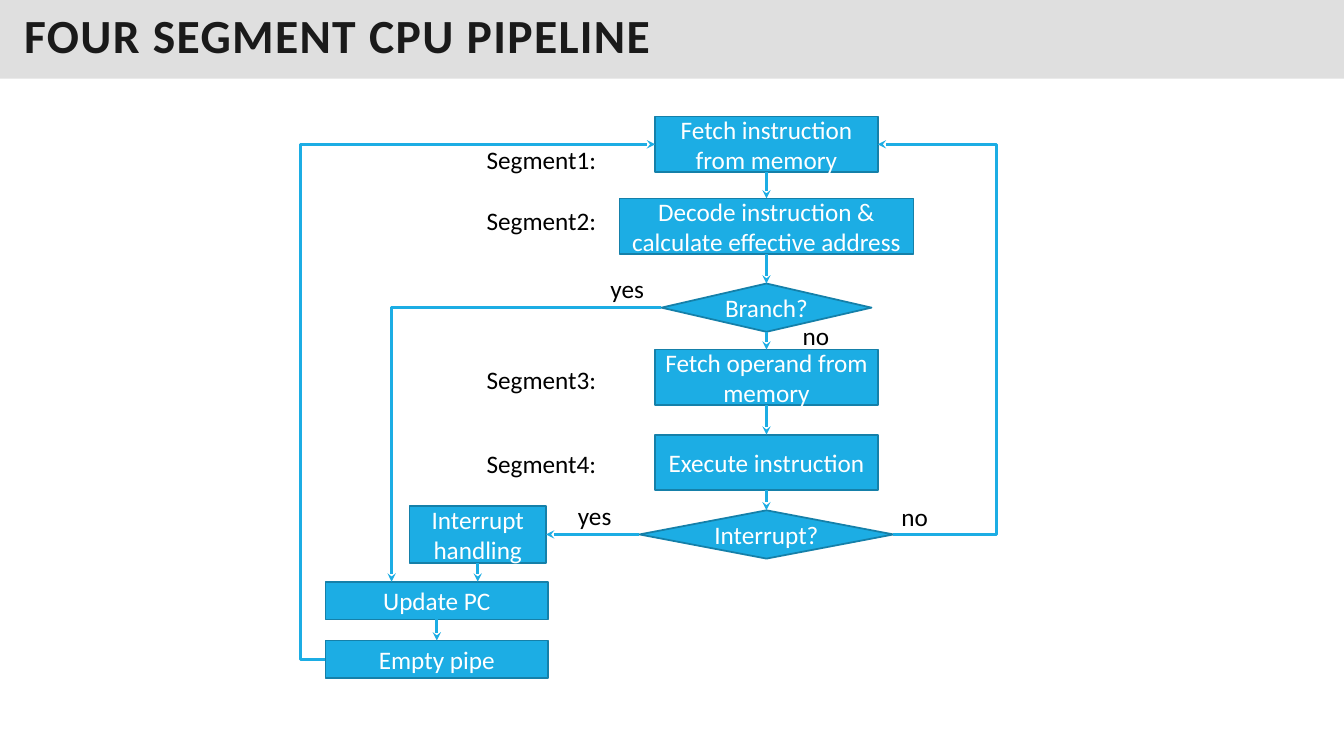
"""Build the flowchart slide of a four segment CPU pipeline."""
from lxml import etree
from pptx import Presentation
from pptx import util as u
from pptx.dml.color import RGBColor
from pptx.enum import shapes, text
from pptx.oxml.ns import qn

PX = 9525
SKY = RGBColor(0x1C, 0xAD, 0xE4)
EDGE = RGBColor(0x15, 0x80, 0xA9)
GREY = RGBColor(0xC0, 0xC0, 0xC0)
INK = RGBColor(0x1A, 0x1A, 0x1A)
WHITE = RGBColor(255, 255, 255)
BLACK = RGBColor(0, 0, 0)

TITLE = "FOUR SEGMENT CPU PIPELINE"
RECT = shapes.MSO_SHAPE.RECTANGLE
TEST = shapes.MSO_SHAPE.FLOWCHART_DECISION
NODES = {  # name: (wording, form, centre x, top, width, height)
    "fetch": ("Fetch instruction from memory", RECT, 730, 111, 212, 53),
    "decode": ("Decode instruction & calculate effective address", RECT, 730, 189, 280, 53),
    "branch": ("Branch?", TEST, 730, 270, 200, 46),
    "load": ("Fetch operand from memory", RECT, 730, 333, 212, 53),
    "run": ("Execute instruction", RECT, 730, 414, 212, 53),
    "break": ("Interrupt?", TEST, 730, 486, 242, 46),
    "handle": ("Interrupt handling", RECT, 455, 482, 130, 54),
    "update": ("Update PC", RECT, 416, 554, 212, 36),
    "empty": ("Empty pipe", RECT, 416, 610, 212, 36),
}
TOP, LEFT, FOOT, RIGHT = range(4)
LINKS = [
    ("fetch", FOOT, "decode", TOP),
    ("decode", FOOT, "branch", TOP),
    ("branch", FOOT, "load", TOP),
    ("load", FOOT, "run", TOP),
    ("run", FOOT, "break", TOP),
    ("break", LEFT, "handle", RIGHT),
    ("update", FOOT, "empty", TOP),
]
LOOPS = [("empty", LEFT, "fetch", LEFT, 286), ("break", RIGHT, "fetch", RIGHT, 949)]
DROPS = [("handle", FOOT, "update", 455), ("branch", LEFT, "update", 373)]
LABELS = [(f"Segment{i}:", 454, y, 125) for i, y in enumerate((133, 191, 342, 422), 1)]
LABELS += [("yes", 541, 472, 52), ("yes", 572, 256, 52), ("no", 755, 300, 45), ("no", 849, 473, 45)]


def style(obj, **vals):
    for key, val in vals.items():
        setattr(obj, key, val)


def write(frame, words, size, color, align, bold=False):
    para = frame.paragraphs[0]
    para.alignment = align
    run = para.add_run()
    run.text = words
    style(run.font, name="Calibri", size=u.Pt(size), bold=bold)
    run.font.color.rgb = color
    return para


def wire(slide, kind, start, end):
    line = slide.shapes.add_connector(kind, *(v * PX for v in start + end))
    line.line.color.rgb = SKY
    line.line.width = u.Pt(2)
    etree.SubElement(line.line._get_or_add_ln(), qn("a:tailEnd"), type="stealth")
    etree.SubElement(line._element.spPr, qn("a:effectLst"))
    return line


def site(name, side):
    _, _, mid, top, wide, high = NODES[name]
    half = wide // 2
    return [(mid, top), (mid - half, top + high // 2),
            (mid, top + high), (mid + half, top + high // 2)][side]


def head(slide):
    bar = slide.shapes.title
    style(bar, left=0, top=0, width=1280 * PX, height=75 * PX)
    bar.fill.solid()
    bar.fill.fore_color.rgb = GREY
    tint = bar._element.spPr.find(qn("a:solidFill"))[0]
    etree.SubElement(tint, qn("a:alpha"), val="50000")
    frame = bar.text_frame
    style(frame, margin_left=23 * PX, margin_right=23 * PX, margin_top=12 * PX,
          margin_bottom=12 * PX, word_wrap=True, auto_size=text.MSO_AUTO_SIZE.NONE,
          vertical_anchor=text.MSO_ANCHOR.MIDDLE)
    para = write(frame, TITLE, 34, INK, text.PP_ALIGN.LEFT, True)
    para.line_spacing = 0.8
    para.runs[0]._r.get_or_add_rPr().set("spc", "100")


def node(slide, words, form, mid, top, wide, high):
    box = slide.shapes.add_shape(form, *(v * PX for v in (mid - wide // 2, top, wide, high)))
    box.shadow.inherit = False
    box.fill.solid()
    box.fill.fore_color.rgb = SKY
    box.line.color.rgb = EDGE
    box.line.width = u.Pt(1.25)
    style(box.text_frame, word_wrap=True, vertical_anchor=text.MSO_ANCHOR.MIDDLE)
    write(box.text_frame, words, 18, WHITE, text.PP_ALIGN.CENTER)
    return box


def main():
    deck = Presentation()
    style(deck, slide_width=1280 * PX, slide_height=720 * PX)
    slide = deck.slides.add_slide(deck.slide_layouts[5])
    head(slide)
    boxes = {name: node(slide, *vals) for name, vals in NODES.items()}
    kinds = shapes.MSO_CONNECTOR

    for src, out, dst, into in LINKS:
        line = wire(slide, kinds.STRAIGHT, site(src, out), site(dst, into))
        line.begin_connect(boxes[src], out)
        line.end_connect(boxes[dst], into)

    for src, out, dst, into, lane in LOOPS:
        start, end = site(src, out), site(dst, into)
        line = wire(slide, kinds.ELBOW, start, end)
        line.begin_connect(boxes[src], out)
        line.end_connect(boxes[dst], into)
        ratio = round(100000 * (lane - start[0]) / (end[0] - start[0]))
        bend = line._element.spPr.find(qn("a:prstGeom")).find(qn("a:avLst"))
        etree.SubElement(bend, qn("a:gd"), name="adj1", fmla=f"val {ratio}")

    for src, out, dst, lane in DROPS:
        kind = kinds.ELBOW if out == LEFT else kinds.STRAIGHT
        line = wire(slide, kind, site(src, out), (lane, NODES[dst][3]))
        line.begin_connect(boxes[src], out)
        if kind == kinds.ELBOW:
            line._element.spPr.find(qn("a:prstGeom")).set("prst", "bentConnector2")

    for words, left, top, wide in LABELS:
        note = slide.shapes.add_textbox(*(v * PX for v in (left, top, wide, 38)))
        style(note.text_frame, word_wrap=False, auto_size=text.MSO_AUTO_SIZE.SHAPE_TO_FIT_TEXT)
        write(note.text_frame, words, 18, BLACK, text.PP_ALIGN.LEFT)

    deck.save("out.pptx")


if __name__ == "__main__":
    main()
